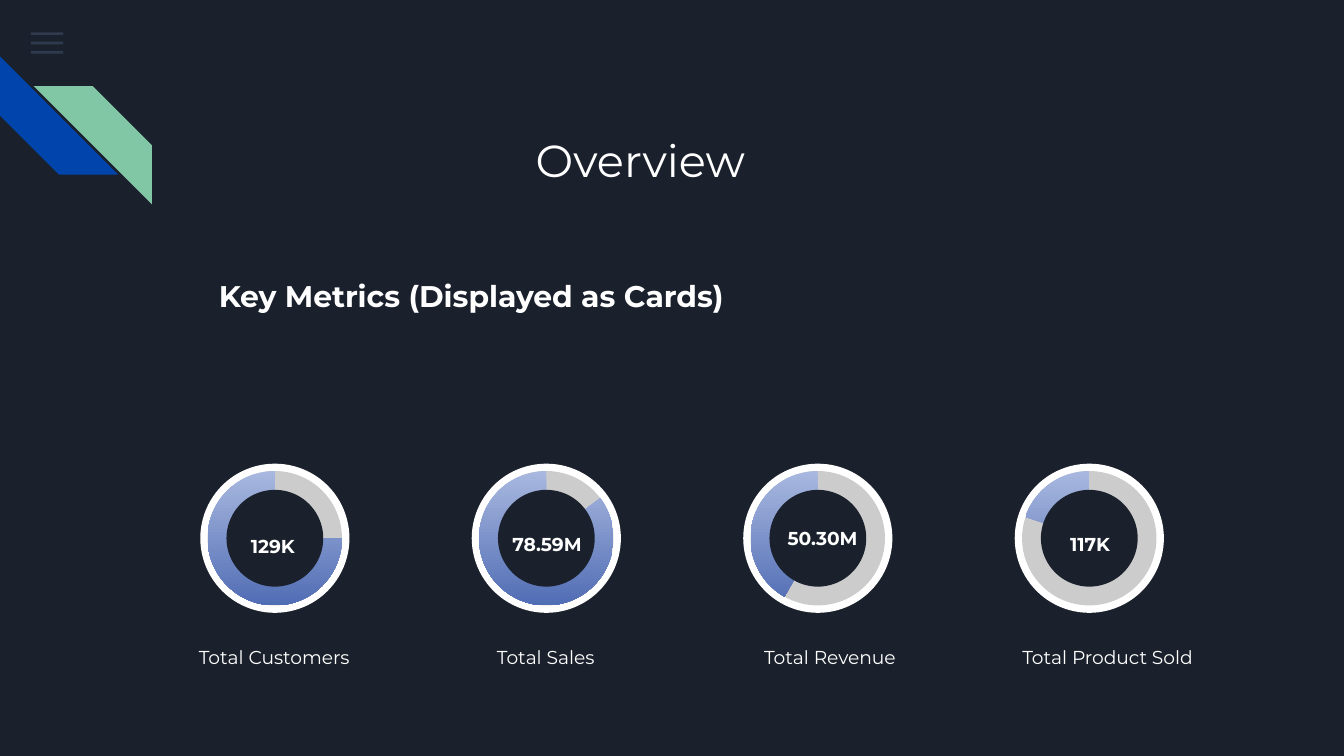
from dataclasses import dataclass

from lxml.etree import SubElement
from pptx import Presentation
from pptx.dml.color import RGBColor
from pptx.enum.shapes import MSO_SHAPE
from pptx.enum.text import MSO_ANCHOR, PP_ALIGN
from pptx.oxml.ns import qn
from pptx.shapes.autoshape import Shape
from pptx.slide import Slide
from pptx.util import Emu, Pt

EMU_PER_PX = 4572
FONT = "Montserrat"
COLORS = {
    "background": "1B212C",
    "white": "FFFFFF",
    "track": "CCCCCC",
    "menu": "55688B",
    "blue": "0145AC",
    "green": "82C7A5",
    "gradient_top": "A8B8DF",
    "gradient_bottom": "516DB4",
}


@dataclass(frozen=True)
class Box:
    """A rectangle in px."""

    left: int
    top: int
    width: int
    height: int

    def emu(self) -> tuple[Emu, ...]:
        """Return the four lengths in EMU."""
        lengths = (self.left, self.top, self.width, self.height)
        return tuple(Emu(length * EMU_PER_PX) for length in lengths)


@dataclass(frozen=True)
class Metric:
    """A dial with its value and label; the pie runs from start_degrees to 270."""

    value: str
    label: str
    start_degrees: float
    value_box: Box
    label_box: Box
    value_spacing: float = 1.15


METRICS = [
    Metric("129K", "Total Customers", 0, Box(320, 772, 172, 60), Box(256, 944, 304, 96)),
    Metric("78.59M", "Total Sales", 323.5, Box(742, 768, 144, 60), Box(696, 944, 232, 96)),
    Metric("50.30M", "Total Revenue", 119.7, Box(1146, 768, 156, 60), Box(1102, 944, 266, 96), 1.0),
    Metric("117K", "Total Product Sold", 198.54, Box(1550, 768, 144, 60), Box(1488, 944, 320, 96)),
]


def rgb(name: str) -> RGBColor:
    """Look up a palette colour."""
    return RGBColor.from_string(COLORS[name])


def add_shape(slide: Slide, kind: MSO_SHAPE, box: Box, color: str) -> Shape:
    """Add a solid shape with no outline or shadow."""
    shape = slide.shapes.add_shape(kind, *box.emu())
    shape.shadow.inherit = False
    shape.line.fill.background()
    shape.fill.solid()
    shape.fill.fore_color.rgb = rgb(color)
    return shape


def add_text(slide: Slide, text: str, box: Box, *, size: int = 10, bold: bool = False,
             align: PP_ALIGN = PP_ALIGN.CENTER, spacing: float = 1.0,
             after: int = 0, wrap: bool = True) -> None:
    """Add a one-paragraph white text box."""
    frame = slide.shapes.add_textbox(*box.emu()).text_frame
    frame.word_wrap = wrap
    frame.vertical_anchor = MSO_ANCHOR.TOP
    frame.margin_left = frame.margin_right = Emu(20 * EMU_PER_PX)
    frame.margin_top = frame.margin_bottom = Emu(20 * EMU_PER_PX)
    paragraph = frame.paragraphs[0]
    paragraph.alignment = align
    paragraph.line_spacing = spacing
    paragraph.space_after = Pt(after)
    run = paragraph.add_run()
    run.text = text
    run.font.name = FONT
    run.font.size = Pt(size)
    run.font.bold = bold
    run.font.color.rgb = rgb("white")


def add_menu_icon(slide: Slide) -> None:
    """Draw three evenly spaced translucent bars."""
    for row in range(3):
        bar = add_shape(slide, MSO_SHAPE.RECTANGLE, Box(46, 48 + 14 * row, 48, 4), "menu")
        color = bar.fill._xPr.find(qn("a:solidFill"))[0]
        SubElement(color, qn("a:alpha"), val="36000")


def add_stripe(slide: Slide, box: Box, color: str, rotation: int) -> None:
    """Draw a rotated diagonal stripe."""
    stripe = add_shape(slide, MSO_SHAPE.DIAGONAL_STRIPE, box, color)
    stripe.adjustments[0] = 0.5
    stripe.rotation = rotation


def add_dial(slide: Slide, left: int, top: int, start_degrees: float) -> None:
    """Draw a ringed progress dial."""
    disc = Box(left + 11, top + 11, 200, 200)
    add_shape(slide, MSO_SHAPE.OVAL, Box(left, top, 222, 222), "white")
    add_shape(slide, MSO_SHAPE.OVAL, disc, "track")
    pie = add_shape(slide, MSO_SHAPE.PIE, disc, "gradient_top")
    pie.adjustments[0] = start_degrees * 0.6
    pie.adjustments[1] = 270 * 0.6
    pie.fill.gradient()
    pie.fill.gradient_angle = 270
    for stop, color in zip(pie.fill.gradient_stops, ("gradient_top", "gradient_bottom")):
        stop.color.rgb = rgb(color)
    add_shape(slide, MSO_SHAPE.OVAL, Box(left + 39, top + 39, 144, 144), "background")


def main() -> None:
    """Build and save the overview slide."""
    presentation = Presentation()
    presentation.slide_width = Emu(2000 * EMU_PER_PX)
    presentation.slide_height = Emu(1125 * EMU_PER_PX)
    slide = presentation.slides.add_slide(presentation.slide_layouts[6])
    slide.background.fill.solid()
    slide.background.fill.fore_color.rgb = rgb("background")

    add_menu_icon(slide)
    add_stripe(slide, Box(0, 84, 176, 176), "blue", 270)
    add_stripe(slide, Box(50, 128, 176, 176), "green", 90)
    add_text(slide, "Overview", Box(340, 166, 1226, 130), size=24, spacing=1.15, after=16)
    add_text(slide, "Key Metrics (Displayed as Cards)", Box(306, 386, 1080, 130), size=16,
             bold=True, align=PP_ALIGN.LEFT, spacing=1.15, after=12)

    for column, metric in enumerate(METRICS):
        add_dial(slide, 298 + 404 * column, 690, metric.start_degrees)
        add_text(slide, metric.label, metric.label_box, after=16)
        add_text(slide, metric.value, metric.value_box, bold=True,
                 spacing=metric.value_spacing, wrap=False)

    presentation.save("out.pptx")


if __name__ == "__main__":
    main()
